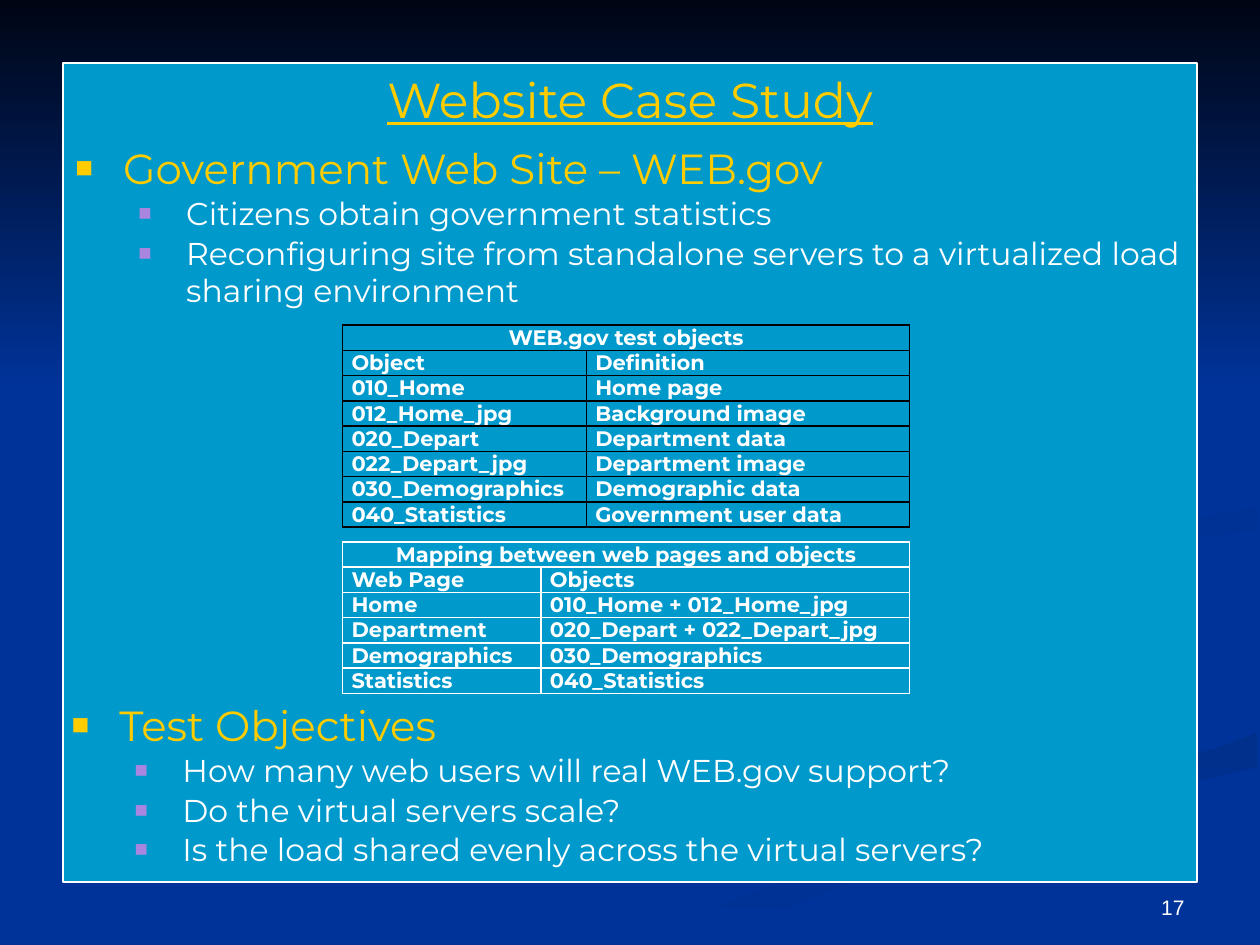
from dataclasses import dataclass
from lxml import etree
from pptx import Presentation
from pptx import util as u
from pptx.dml.color import RGBColor
from pptx.enum import text
from pptx.oxml.ns import qn

COLUMNS, ROWS = 10, 7.5
CELL = u.Inches(1)


@dataclass(frozen=True)
class Theme:
    font: str = "Montserrat"
    number_font: str = "Arial"
    title: int = 28
    heading: int = 24
    body: int = 18
    small: int = 12
    navy: str = "003399"
    night: str = "000514"
    panel: str = "0099CC"
    gold: str = "FFCC00"
    violet: str = "A886E0"
    white: str = "FFFFFF"
    black: str = "000000"


THEME = Theme()

RIBBONS = [
    ([(7.81, 5.53), (7.31, 5.33), (6.61, 5.13), (6.14, 4.96), (5.83, 4.77),
      (5.75, 4.59), (5.7, 4.72), (5.93, 4.91), (6.54, 5.13), (7.28, 5.35),
      (7.76, 5.53), (7.86, 5.66), (7.67, 5.87), (7.14, 6.05), (6.16, 6.29),
      (4.99, 6.61), (4.17, 6.9), (3.38, 7.27), (3, 7.49), (3.61, 7.49),
      (4.31, 7.14), (5.32, 6.74), (6.23, 6.47), (7.21, 6.23), (7.8, 6.05),
      (7.97, 5.88), (8, 5.81), (7.92, 5.61)], ("003399", "003193"), 0),
    ([(5.19, 7.47), (5.03, 7.49), (5.71, 7.49), (6, 7.33), (6.49, 7.1),
      (7.22, 6.82), (8.21, 6.51), (9.03, 6.3), (9.98, 6.09), (9.98, 5.81),
      (9.63, 5.94), (9.03, 6.1), (7.97, 6.38), (6.96, 6.69), (6.3, 6.93),
      (5.69, 7.19)], ("002F8C", "003399"), 270),
    ([(7.25, 4.64), (7.34, 4.83), (7.75, 5.03), (8.51, 5.24), (9.2, 5.47),
      (9.43, 5.7), (9.31, 5.9), (8.81, 6.08), (7.8, 6.34), (6.63, 6.68),
      (5.73, 7.03), (4.77, 7.49), (5.03, 7.49), (5.7, 7.19), (6.96, 6.69),
      (7.97, 6.38), (9.04, 6.1), (9.64, 5.94), (9.99, 5.81), (9.99, 5.38),
      (9.41, 5.27), (8.66, 5.09), (8.04, 4.85), (7.81, 4.63), (8, 4.42),
      (8.5, 4.27), (9.33, 4.15), (9.99, 4.02), (9.99, 3.87), (9.42, 3.99),
      (8.3, 4.15), (7.55, 4.32)], ("003399", "003399"), 0),
    ([(7.81, 4.6), (7.86, 4.74), (8.06, 4.87), (8.26, 4.96), (8.09, 4.84),
      (8.05, 4.72), (8.16, 4.59), (8.59, 4.43), (9.36, 4.29), (9.98, 4.2),
      (9.98, 4.02), (9.33, 4.15), (8.49, 4.27), (7.99, 4.42)],
     ("003091", "003399"), 315),
    ([(0, 0), (0, 3.08), (COLUMNS, 3.08), (COLUMNS, 0)],
     (THEME.night, THEME.navy), 270),
]


def rgb(value):
    return RGBColor.from_string(value)


def grid(*lengths):
    return [round(length * CELL) for length in lengths]


def add_run(paragraph, words, size, color, font=THEME.font, bold=None):
    run = paragraph.add_run()
    run.text = words
    run.font.name = font
    run.font.size = u.Pt(size)
    run.font.bold = bold
    run.font.color.rgb = rgb(color)
    return run


def add_bullet(paragraph, color, indent):
    props = paragraph._p.get_or_add_pPr()
    props.set("marL", str(u.Inches(indent)))
    props.set("indent", str(-u.Inches(0.38)))
    tint = etree.SubElement(props, qn("a:buClr"))
    etree.SubElement(tint, qn("a:srgbClr"), val=color)
    etree.SubElement(props, qn("a:buSzPct"), val="70000")
    etree.SubElement(props, qn("a:buFont"), typeface=THEME.number_font)
    etree.SubElement(props, qn("a:buChar"), char="■")


def draw_backdrop(slide):
    slide.background.fill.solid()
    slide.background.fill.fore_color.rgb = rgb(THEME.navy)
    for outline, colors, angle in RIBBONS:
        builder = slide.shapes.build_freeform(*grid(*outline[0]), scale=1.0)
        builder.add_line_segments([grid(*point) for point in outline[1:]])
        ribbon = builder.convert_to_shape()
        ribbon.shadow.inherit = False
        ribbon.line.fill.background()
        ribbon.fill.gradient()
        ribbon.fill.gradient_angle = angle
        for stop, color in zip(ribbon.fill.gradient_stops, colors):
            stop.color.rgb = rgb(color)


def place_title(slide, box, words):
    panel = slide.shapes.title
    slide.shapes._spTree.append(panel._element)
    panel.left, panel.top, panel.width, panel.height = grid(*box)
    panel.fill.solid()
    panel.fill.fore_color.rgb = rgb(THEME.panel)
    panel.line.color.rgb = rgb(THEME.white)
    panel.line.width = u.Pt(0.75)
    frame = panel.text_frame
    frame.vertical_anchor = text.MSO_ANCHOR.TOP
    frame.auto_size = text.MSO_AUTO_SIZE.NONE
    heading = frame.paragraphs[0]
    heading.alignment = text.PP_ALIGN.CENTER
    add_run(heading, words, THEME.title, THEME.gold).font.underline = True


def place_outline(slide, box, heading, points):
    frame = slide.shapes.add_textbox(*grid(*box)).text_frame
    frame.word_wrap = True
    for index, words in enumerate([heading, *points]):
        entry = frame.add_paragraph() if index else frame.paragraphs[0]
        entry.level = 1 if index else 0
        size = THEME.body if index else THEME.heading
        entry.space_before = u.Pt(round(size * 0.05, 2))
        add_bullet(entry, THEME.violet if index else THEME.gold,
                   0.88 if index else 0.38)
        add_run(entry, words, size, THEME.white if index else THEME.gold)


def border_cell(cell, color):
    props = cell._tc.get_or_add_tcPr()
    for position, side in enumerate(("a:lnL", "a:lnR", "a:lnT", "a:lnB")):
        edge = etree.Element(qn(side), w=str(u.Pt(1)))
        paint = etree.SubElement(edge, qn("a:solidFill"))
        etree.SubElement(paint, qn("a:srgbClr"), val=color)
        props.insert(position, edge)


def place_table(slide, box, first_share, border, caption, records):
    rows = [(caption, ""), *records]
    table = slide.shapes.add_table(len(rows), 2, *grid(*box)).table
    table.first_row = table.horz_banding = False
    for column, share in zip(table.columns, (first_share, 1 - first_share)):
        column.width = round(box[2] * share * CELL)
    table.cell(0, 0).merge(table.cell(0, 1))
    for r, record in enumerate(rows):
        for c, words in enumerate(record):
            cell = table.cell(r, c)
            cell.margin_left = cell.margin_right = u.Inches(0.07)
            cell.margin_top = cell.margin_bottom = 0
            cell.fill.background()
            border_cell(cell, border)
            if words:
                entry = cell.text_frame.paragraphs[0]
                if r == 0:
                    entry.alignment = text.PP_ALIGN.CENTER
                add_run(entry, words, THEME.small, THEME.white, bold=True)


def place_number(slide, box, number):
    frame = slide.shapes.add_textbox(*grid(*box)).text_frame
    frame.word_wrap = True
    frame.vertical_anchor = text.MSO_ANCHOR.BOTTOM
    entry = frame.paragraphs[0]
    entry.alignment = text.PP_ALIGN.RIGHT
    add_run(entry, number, THEME.small, THEME.white, THEME.number_font)


def main():
    deck = Presentation()
    deck.slide_width, deck.slide_height = grid(COLUMNS, ROWS)
    slide = deck.slides.add_slide(deck.slide_layouts[5])
    draw_backdrop(slide)
    place_title(slide, (0.5, 0.5, 9, 6.5), "Website Case Study")
    place_outline(slide, (0.5, 1.08, 9, 1.5), "Government Web Site – WEB.gov", [
        "Citizens obtain government statistics",
        "Reconfiguring site from standalone servers to a virtualized load "
        "sharing environment"])
    place_table(slide, (2.72, 2.58, 4.5, 1.6), 0.43, THEME.black,
                "WEB.gov test objects", [
                    ("Object", "Definition"),
                    ("010_Home", "Home page"),
                    ("012_Home_jpg", "Background image"),
                    ("020_Depart", "Department data"),
                    ("022_Depart_jpg", "Department image"),
                    ("030_Demographics", "Demographic data"),
                    ("040_Statistics", "Government user data")])
    place_number(slide, (7.17, 6.83, 2.33, 0.52), "17")
    place_table(slide, (2.72, 4.3, 4.5, 1.2), 0.35, THEME.white,
                "Mapping between web pages and objects", [
                    ("Web Page", "Objects"),
                    ("Home", "010_Home + 012_Home_jpg"),
                    ("Department", "020_Depart + 022_Depart_jpg"),
                    ("Demographics", "030_Demographics"),
                    ("Statistics", "040_Statistics")])
    place_outline(slide, (0.47, 5.5, 9, 1.42), "Test Objectives", [
        "How many web users will real WEB.gov support?",
        "Do the virtual servers scale?",
        "Is the load shared evenly across the virtual servers?"])
    deck.save("out.pptx")


if __name__ == "__main__":
    main()
